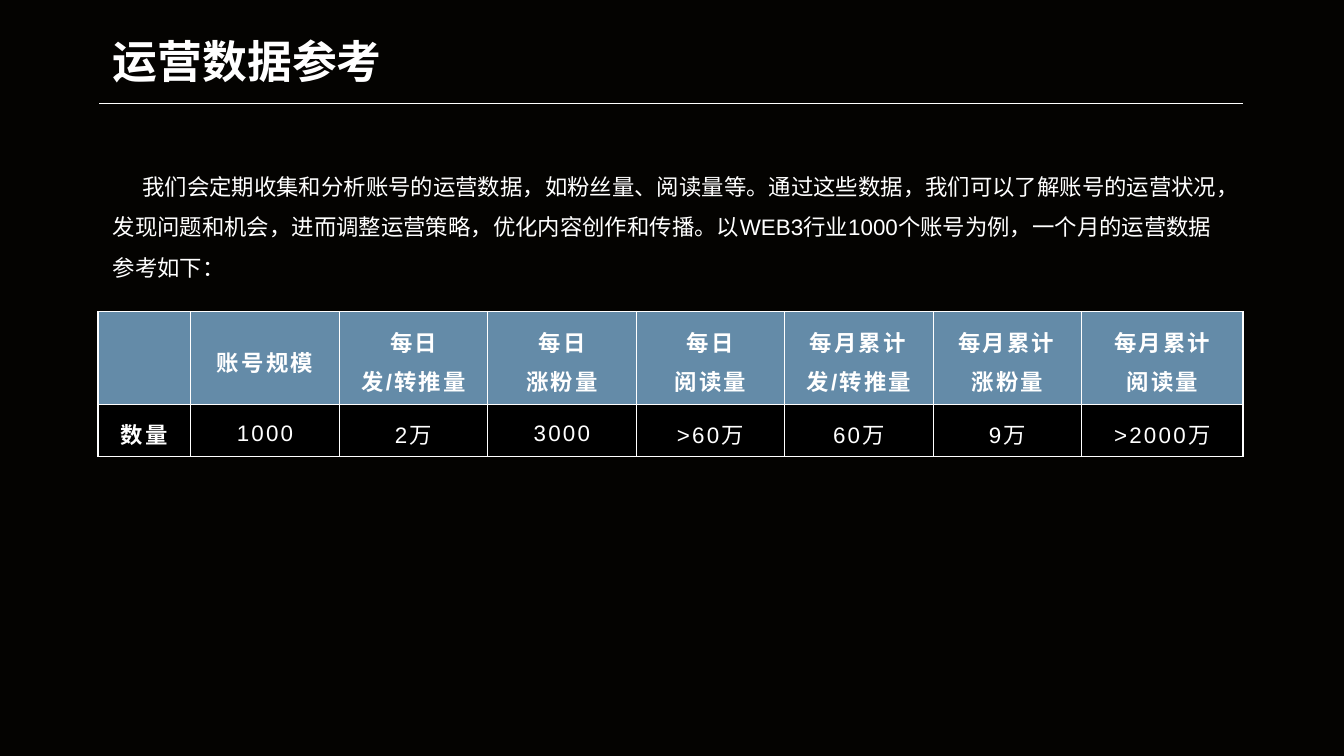
from dataclasses import dataclass

from lxml import etree
from pptx import Presentation
from pptx import util as u
from pptx.dml.color import RGBColor
from pptx.enum import shapes, text
from pptx.oxml import ns

BACKDROP = RGBColor(0x04, 0x03, 0x01)
BLACK = RGBColor(0, 0, 0)
WHITE = RGBColor(0xFF, 0xFF, 0xFF)
BLUE = RGBColor(0x64, 0x8B, 0xA8)
CHINESE_FONT = "Noto Sans CJK SC"


@dataclass
class Style:
    size: float = 12
    bold: bool = False
    font: str = "Arial"
    spacing: float = 0  # letter spacing in points
    line_spacing: float = 1.2


@dataclass
class Column:
    width: float
    heading: list[str]
    value: str


TITLE = Style(24, True, "DejaVu Sans", line_spacing=0.9)
BODY = Style(line_spacing=1.5)
HEADING = Style(bold=True, spacing=1.2)
ROW_LABEL = Style(bold=True, font=CHINESE_FONT, spacing=1.2)
VALUE = Style(spacing=1.2)

TABLE_WIDTH = 8.52
FIRST_WIDTH, LAST_WIDTH = 0.69, 1.2
MIDDLE_WIDTH = (TABLE_WIDTH - FIRST_WIDTH - LAST_WIDTH) / 6
ROW_HEIGHTS = [0.69, 0.39]
COLUMNS = [
    Column(FIRST_WIDTH, [], "数量"),
    Column(MIDDLE_WIDTH, ["账号规模"], "1000"),
    Column(MIDDLE_WIDTH, ["每日", "发/转推量"], "2万"),
    Column(MIDDLE_WIDTH, ["每日", "涨粉量"], "3000"),
    Column(MIDDLE_WIDTH, ["每日", "阅读量"], ">60万"),
    Column(MIDDLE_WIDTH, ["每月累计发/转推量"], "60万"),
    Column(MIDDLE_WIDTH, ["每月累计涨粉量"], "9万"),
    Column(LAST_WIDTH, ["每月累计", "阅读量"], ">2000万"),
]
INTRODUCTION = (
    "我们会定期收集和分析账号的运营数据，如粉丝量、阅读量等。"
    "通过这些数据，我们可以了解账号的运营状况，发现问题和机会，"
    "进而调整运营策略，优化内容创作和传播。"
    "以WEB3行业1000个账号为例，一个月的运营数据参考如下："
)


def write(frame, lines: list[str], style: Style, align=text.PP_ALIGN.LEFT) -> None:
    for index, line in enumerate(lines):
        paragraph = frame.paragraphs[0] if index == 0 else frame.add_paragraph()
        paragraph.alignment = align
        paragraph.line_spacing = style.line_spacing
        run = paragraph.add_run()
        run.text = line
        run.font.size = u.Pt(style.size)
        run.font.bold = style.bold
        run.font.name = style.font
        run.font.color.rgb = WHITE
        properties = run.font._element
        if style.spacing:
            properties.set("spc", str(round(style.spacing * 100)))
        east_asian = etree.SubElement(properties, ns.qn("a:ea"))
        east_asian.set("typeface", CHINESE_FONT)


def add_text(slide, box: tuple[float, ...], line: str, style: Style):
    shape = slide.shapes.add_textbox(*(u.Inches(length) for length in box))
    shape.text_frame.word_wrap = True
    write(shape.text_frame, [line], style)
    return shape


def add_borders(cell) -> None:
    properties = cell._tc.get_or_add_tcPr()
    for index, side in enumerate(("lnL", "lnR", "lnT", "lnB")):
        line = etree.Element(ns.qn(f"a:{side}"), w=str(u.Pt(0.75)))
        fill = etree.SubElement(line, ns.qn("a:solidFill"))
        etree.SubElement(fill, ns.qn("a:srgbClr"), val=str(WHITE))
        properties.insert(index, line)


def fill_cell(cell, lines: list[str], style: Style, color: RGBColor) -> None:
    cell.fill.solid()
    cell.fill.fore_color.rgb = color
    cell.vertical_anchor = text.MSO_ANCHOR.MIDDLE
    write(cell.text_frame, lines, style, text.PP_ALIGN.CENTER)
    add_borders(cell)


def add_data_table(slide, left: float, top: float) -> None:
    table = slide.shapes.add_table(
        len(ROW_HEIGHTS), len(COLUMNS), u.Inches(left), u.Inches(top),
        u.Inches(TABLE_WIDTH), u.Inches(sum(ROW_HEIGHTS)),
    ).table
    for row, height in zip(table.rows, ROW_HEIGHTS):
        row.height = u.Inches(height)
    for index, column in enumerate(COLUMNS):
        table.columns[index].width = u.Inches(column.width)
        fill_cell(table.cell(0, index), column.heading, HEADING, BLUE)
        style = VALUE if index else ROW_LABEL
        fill_cell(table.cell(1, index), [column.value], style, BLACK)


def main() -> None:
    presentation = Presentation()
    presentation.slide_width = u.Inches(10)
    presentation.slide_height = u.Inches(10 * 9 / 16)
    slide = presentation.slides.add_slide(presentation.slide_layouts[6])

    # Background
    slide.background.fill.solid()
    slide.background.fill.fore_color.rgb = BLACK
    backdrop = slide.shapes.add_shape(
        shapes.MSO_SHAPE.RECTANGLE, 0, 0,
        presentation.slide_width, presentation.slide_height,
    )
    backdrop.shadow.inherit = False
    backdrop.fill.solid()
    backdrop.fill.fore_color.rgb = BACKDROP
    backdrop.line.fill.background()

    # Title and rule
    rule = slide.shapes.add_connector(
        shapes.MSO_CONNECTOR.STRAIGHT,
        u.Inches(0.74), u.Inches(0.77), u.Inches(9.25), u.Inches(0.77),
    )
    rule.line.color.rgb = WHITE
    rule.line.width = u.Pt(1)
    etree.SubElement(rule._element.spPr, ns.qn("a:effectLst"))
    title = add_text(slide, (0.84, 0.18, 5.3, 0.59), "运营数据参考", TITLE)
    title.text_frame.margin_left = 0
    title.text_frame.vertical_anchor = text.MSO_ANCHOR.MIDDLE

    # Data table
    add_data_table(slide, 0.73, 2.32)

    # Introduction with an indented first line
    body = add_text(slide, (0.74, 1.14, 8.49, 1.22), INTRODUCTION, BODY)
    paragraph = body.text_frame.paragraphs[0]
    paragraph._p.get_or_add_pPr().set("indent", str(u.Inches(0.22)))

    presentation.save("out.pptx")


if __name__ == "__main__":
    main()
